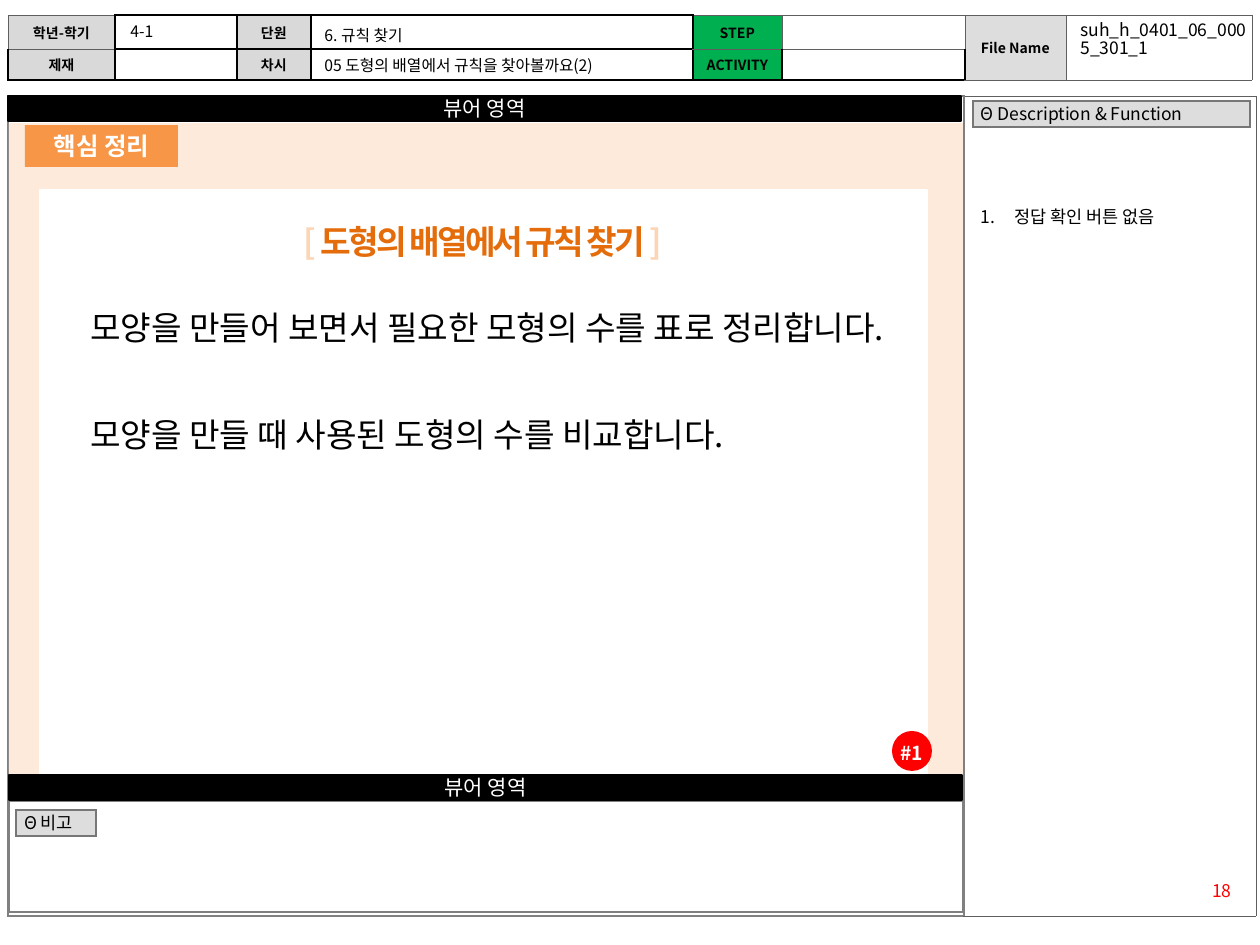
from lxml import etree
from pptx import Presentation, util as u
from pptx.dml.color import RGBColor
from pptx.enum import shapes, text
from pptx.oxml.ns import qn

PX = 914400 / 126
FONT = "Noto Sans CJK KR"
BLACK, WHITE, GREY = "000000", "FFFFFF", "DDDDDD"
LEFT, CENTER, RIGHT, JUSTIFY = (
    text.PP_ALIGN.LEFT, text.PP_ALIGN.CENTER, text.PP_ALIGN.RIGHT, text.PP_ALIGN.JUSTIFY)
TOP, MIDDLE = text.MSO_ANCHOR.TOP, text.MSO_ANCHOR.MIDDLE
SHAPE = shapes.MSO_SHAPE
THIN, STRONG = ("5F5F5F", 0.25), (BLACK, 1)


def px(value):
    return u.Emu(round(value * PX))


def color(value):
    return RGBColor.from_string(value)


def write(frame, content, size=10, fill=BLACK, bold=False, align=LEFT,
          leading=None, spacing=None, number_indent=None):
    paragraph = frame.paragraphs[0]
    paragraph.alignment = align
    if leading:
        paragraph.line_spacing = leading
    if number_indent:
        properties = paragraph._p.get_or_add_pPr()
        properties.set("marL", str(px(number_indent)))
        properties.set("indent", str(-px(number_indent)))
        etree.SubElement(properties, qn("a:buFont"), typeface="+mj-lt")
        etree.SubElement(properties, qn("a:buAutoNum"), type="arabicPeriod")
    runs = [(content, fill)] if isinstance(content, str) else content
    for words, run_color in runs:
        run = paragraph.add_run()
        run.text = words
        run.font.size = u.Pt(size)
        run.font.bold = bold
        run.font.color.rgb = color(run_color)
        run.font.name = FONT
        properties = run.font._element
        etree.SubElement(properties, qn("a:ea"), typeface=FONT)
        if spacing:
            properties.set("spc", str(round(spacing * 100)))


def set_frame(frame, anchor, margins=None):
    frame.word_wrap = True
    frame.vertical_anchor = anchor
    if margins is not None:
        frame.margin_left = frame.margin_right = px(margins)
        frame.margin_top = frame.margin_bottom = px(margins)


def add_text(slide, box, content, **style):
    frame = slide.shapes.add_textbox(*map(px, box)).text_frame
    set_frame(frame, TOP)
    write(frame, content, **style)


def add_block(slide, box, fill, content=None, kind=SHAPE.RECTANGLE, line=None,
              anchor=MIDDLE, margins=None, **style):
    shape = slide.shapes.add_shape(kind, *map(px, box))
    shape.shadow.inherit = False
    shape.fill.solid()
    shape.fill.fore_color.rgb = color(fill)
    if line:
        shape.line.color.rgb = color(line)
        shape.line.width = u.Pt(1)
    else:
        shape.line.fill.background()
    if content:
        set_frame(shape.text_frame, anchor, margins)
        write(shape.text_frame, content, fill=WHITE, align=CENTER, **style)


def add_grid(slide, left, top, columns, rows):
    table = slide.shapes.add_table(
        len(rows), len(columns), px(left), px(top), px(sum(columns)), px(sum(rows))).table
    table.first_row = table.horz_banding = False
    for column, width in zip(table.columns, columns):
        column.width = px(width)
    for row, height in zip(table.rows, rows):
        row.height = px(height)
    return table


def format_cell(cell, border, fill=None, content=None, top=None, margins=(13, 4), **style):
    properties = cell._tc.get_or_add_tcPr()
    for edge in "LRTB":
        line_color, width = top if top and edge == "T" else border
        line = etree.SubElement(properties, qn(f"a:ln{edge}"), w=str(u.Pt(width)))
        solid = etree.SubElement(line, qn("a:solidFill"))
        etree.SubElement(solid, qn("a:srgbClr"), val=line_color)
    if fill:
        cell.fill.solid()
        cell.fill.fore_color.rgb = color(fill)
    else:
        cell.fill.background()
    cell.vertical_anchor = MIDDLE
    cell.margin_left = cell.margin_right = px(margins[0])
    cell.margin_top = cell.margin_bottom = px(margins[1])
    if content:
        write(cell.text_frame, content, **style)
    else:
        paragraph = cell.text_frame.paragraphs[0]._p
        etree.SubElement(paragraph, qn("a:endParaRPr"), sz="800")


def add_label(slide, left, top, width, height, content):
    cell = add_grid(slide, left, top, [width], [height]).cell(0, 0)
    format_cell(cell, ("777777", 1), GREY, content, margins=(8, 0), leading=0.9)


def add_header(slide):
    table = add_grid(slide, 8, 15, [107, 122, 74, 382, 89, 183, 101, 186], [34, 31])
    labels = [["학년-학기", None, "단원", None, "STEP", None, "File Name", None],
              ["제재", None, "차시", None, "ACTIVITY", None, None, None]]
    fills = {0: "D9D9D9", 2: "D9D9D9", 4: "00B050", 6: GREY}
    thin_columns = [{0, 4, 5, 6, 7}, {6, 7}]
    for row, names in enumerate(labels):
        for column, name in enumerate(names):
            border = THIN if column in thin_columns[row] else STRONG
            top = THIN if row and column in thin_columns[0] else None
            format_cell(table.cell(row, column), border, fills.get(column), name,
                        top=top, size=8, bold=True, align=CENTER)
    for column in (6, 7):
        table.cell(0, column).merge(table.cell(1, column))


def add_frames(slide):
    frame = add_grid(slide, 8, 96, [956, 292], [820])
    format_cell(frame.cell(0, 0), ("808080", 1.5))
    format_cell(frame.cell(0, 1), THIN)
    notes = add_grid(slide, 9, 801, [954], [111])
    format_cell(notes.cell(0, 0), ("808080", 1.5))


def main():
    presentation = Presentation()
    presentation.slide_width, presentation.slide_height = px(1260), px(945)
    slide = presentation.slides.add_slide(presentation.slide_layouts[6])

    add_frames(slide)
    add_header(slide)
    add_label(slide, 16, 810, 80, 26, "Θ 비고")
    add_text(slide, (1160, 874, 84, 34), "18", fill="FF0000", align=RIGHT)

    add_block(slide, (9, 123, 954, 651), "FDEADA")
    add_block(slide, (40, 190, 887, 584), WHITE, line=WHITE)
    for left, top in ((8, 96), (9, 775)):
        add_block(slide, (left, top, 953, 25), BLACK, "뷰어 영역", line=BLACK, size=12)

    add_label(slide, 973, 101, 277, 26, "Θ Description & Function")
    add_text(slide, (968, 200, 292, 38), "정답 확인 버튼 없음", number_indent=34)
    add_block(slide, (25, 125, 153, 42), "F79646", "핵심 정리", anchor=TOP,
              size=14, bold=True)
    add_text(slide, (54, 215, 858, 53),
             [("[ ", "FCD5B5"), ("도형의 배열에서 규칙 찾기 ", "E46C0A"), ("]", "FCD5B5")],
             size=19, bold=True, align=CENTER, spacing=-1.5)
    add_block(slide, (892, 731, 40, 40), "FF0000", "#1", kind=SHAPE.OVAL,
              margins=0, size=11, bold=True, leading=1.2)

    add_text(slide, (1068, 16, 192, 55), "suh_h_0401_06_0005_301_1",
             align=JUSTIFY, leading=0.85)
    for box, content in (
            ((118, 16, 118, 30), "4-1"),
            ((312, 20, 382, 20), "6. 규칙 찾기"),
            ((312, 50, 377, 30), "05 도형의 배열에서 규칙을 찾아볼까요(2)")):
        add_text(slide, box, content, size=9)
    for top, content in (
            (301, "모양을 만들어 보면서 필요한 모형의 수를 표로 정리합니다."),
            (408, "모양을 만들 때 사용된 도형의 수를 비교합니다.")):
        add_text(slide, (78, top, 842, 53), content, size=19, align=JUSTIFY)

    presentation.save("out.pptx")


if __name__ == "__main__":
    main()
